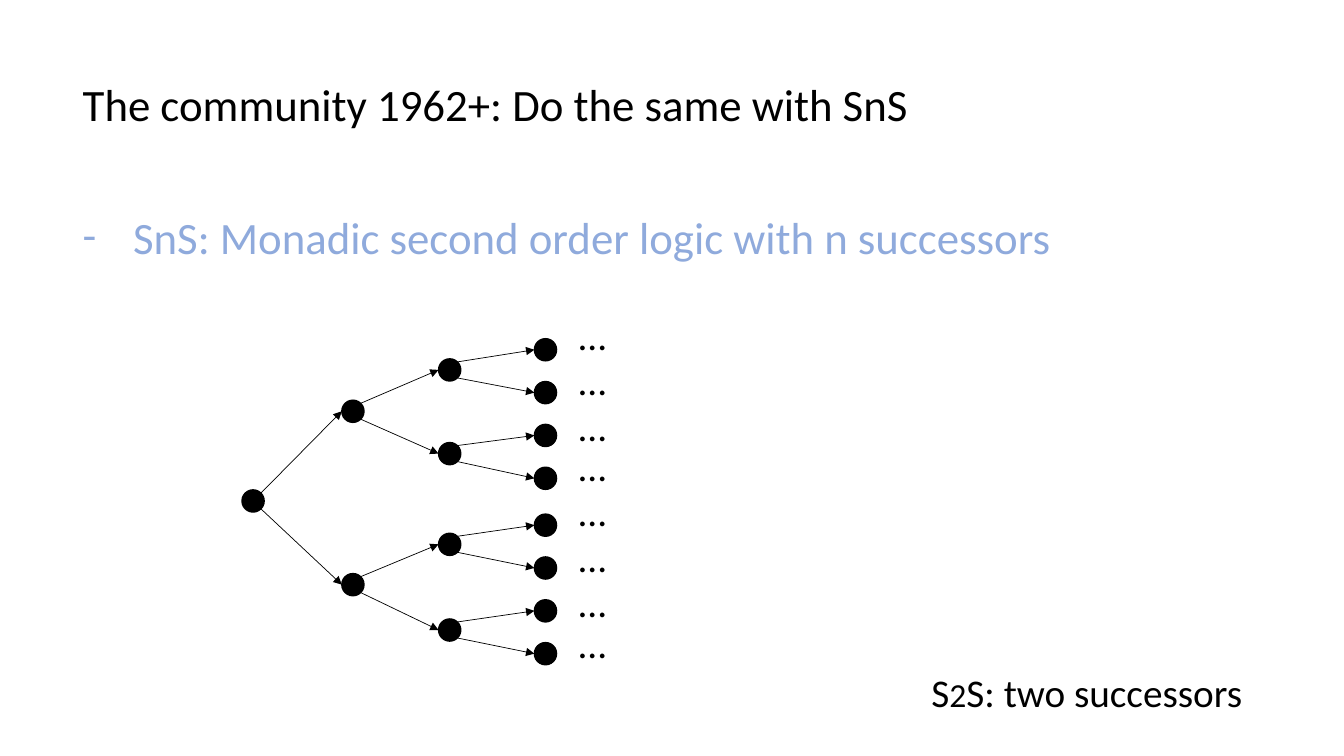
from dataclasses import dataclass

from lxml import etree
from pptx import Presentation
from pptx.dml.color import RGBColor
from pptx.enum.shapes import MSO_CONNECTOR, MSO_SHAPE
from pptx.enum.text import MSO_ANCHOR, MSO_AUTO_SIZE, PP_ALIGN
from pptx.oxml.ns import qn
from pptx.util import Inches, Pt

STRAIGHT = MSO_CONNECTOR.STRAIGHT
OVAL = MSO_SHAPE.OVAL
TOP = MSO_ANCHOR.TOP
NO_FIT = MSO_AUTO_SIZE.NONE
LEFT = PP_ALIGN.LEFT


@dataclass(frozen=True)
class Theme:
    font: str = "Calibri"
    ink: RGBColor = RGBColor(0, 0, 0)
    accent: RGBColor = RGBColor(0x8F, 0xAA, 0xDC)
    heading: float = 32
    text: float = 28
    small: float = 24
    outline: float = 1
    edge: float = 0.5


THEME = Theme()
HALF_NODE = 0.11
EDGE_OFFSET = 0.08
HALF_STEP = 1.74
LEVELS = [
    (0.11, [1.93]),
    (1.1, [1.04, 2.76]),
    (2.06, [0.63, 1.46, 2.36, 3.21]),
    (3.01, [0.43 + half * HALF_STEP + 0.425 * row for half in range(2) for row in range(4)]),
]
DOT_TOPS = [half * 1.75 + top for half in range(2) for top in (0, 0.45, 0.9, 1.3)]


def place(shape, box):
    shape.left, shape.top, shape.width, shape.height = map(Inches, box)


def write(shape, runs, color=THEME.ink, wrap=True):
    frame = shape.text_frame
    frame.word_wrap = wrap
    frame.auto_size = NO_FIT
    frame.vertical_anchor = TOP
    paragraph = frame.paragraphs[0]
    paragraph.alignment = LEFT
    paragraph.space_before = Pt(0)
    for words, size in runs:
        run = paragraph.add_run()
        run.text = words
        run.font.name = THEME.font
        run.font.size = Pt(size)
        run.font.color.rgb = color
    return paragraph


def add_heading(slide, box):
    title = slide.shapes.title
    place(title, box)
    write(title, [("The community 1962+: Do the same with SnS", THEME.heading)])


def add_definition(slide, box):
    definition = slide.placeholders[1]
    place(definition, box)
    paragraph = write(
        definition,
        [("SnS: Monadic second order logic with n successors", THEME.heading)],
        THEME.accent,
    )
    properties = paragraph._p.get_or_add_pPr()
    properties.set("marL", str(Inches(0.5)))
    properties.set("indent", str(-Inches(0.5)))
    etree.SubElement(properties, qn("a:buFont"), typeface=THEME.font)
    etree.SubElement(properties, qn("a:buChar"), char="-")


def add_node(shapes, x, y):
    node = shapes.add_shape(
        OVAL, Inches(x - HALF_NODE), Inches(y - HALF_NODE),
        Inches(2 * HALF_NODE), Inches(2 * HALF_NODE),
    )
    node.shadow.inherit = False
    node.fill.solid()
    node.fill.fore_color.rgb = THEME.ink
    node.line.color.rgb = THEME.ink
    node.line.width = Pt(THEME.outline)


def add_edge(shapes, parent, child):
    side = EDGE_OFFSET if child[1] > parent[1] else -EDGE_OFFSET
    edge = shapes.add_connector(
        STRAIGHT, Inches(parent[0] + EDGE_OFFSET), Inches(parent[1] + side),
        Inches(child[0] - HALF_NODE), Inches(child[1]),
    )
    edge.line.color.rgb = THEME.ink
    edge.line.width = Pt(THEME.edge)
    etree.SubElement(edge.line._get_or_add_ln(), qn("a:tailEnd"), type="triangle")
    etree.SubElement(edge._element.spPr, qn("a:effectLst"))


def add_successor_tree(slide, left, top):
    shapes = slide.shapes.add_group_shape().shapes
    levels = [[(left + x, top + y) for y in rows] for x, rows in LEVELS]
    for depth, nodes in enumerate(levels):
        for index, node in enumerate(nodes):
            add_node(shapes, *node)
            if depth:
                add_edge(shapes, levels[depth - 1][index // 2], node)
    for dot_top in DOT_TOPS:
        continuation = shapes.add_textbox(
            Inches(left + 3.23), Inches(top + dot_top), Inches(1.98), Inches(0.57)
        )
        write(continuation, [("...", THEME.text)])


def add_example(slide, box):
    example = slide.shapes.add_textbox(*map(Inches, box))
    runs = [("S", THEME.text), ("2", THEME.small), ("S: two successors", THEME.text)]
    write(example, runs, wrap=False)


def main():
    deck = Presentation()
    deck.slide_width, deck.slide_height = Inches(13.33), Inches(7.5)
    slide = deck.slides.add_slide(deck.slide_layouts[1])
    add_heading(slide, (0.72, 0.71, 10.91, 0.94))
    add_definition(slide, (0.72, 2.03, 10.91, 0.64))
    add_successor_tree(slide, 2.4, 3.04)
    add_example(slide, (9.14, 6.58, 3.34, 0.57))
    deck.save("out.pptx")


if __name__ == "__main__":
    main()
